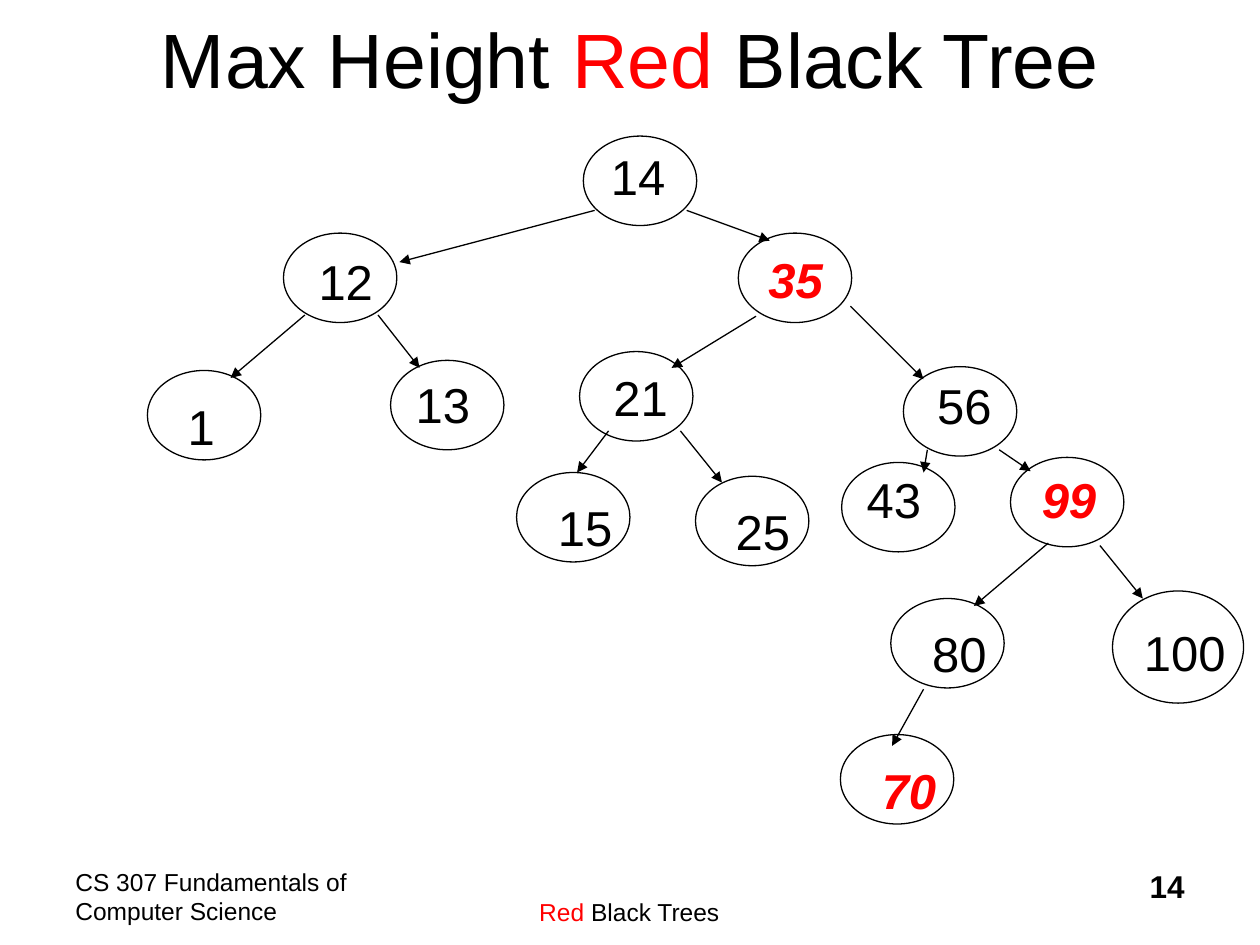
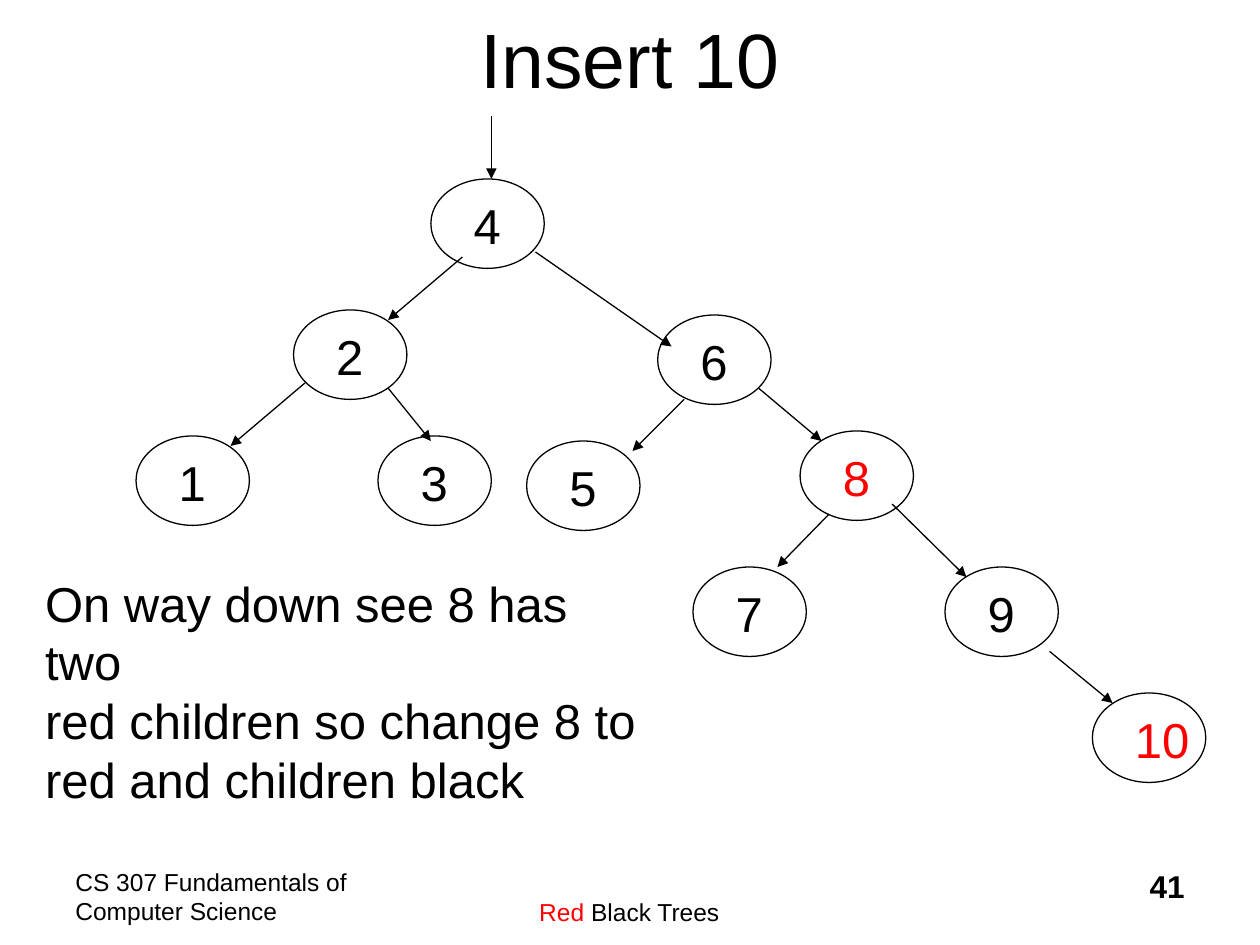
from lxml.etree import SubElement
from pptx import Presentation
from pptx.dml.color import RGBColor
from pptx.enum.shapes import MSO_CONNECTOR as Connector, MSO_SHAPE as Shape
from pptx.enum.text import MSO_ANCHOR as Anchor, MSO_AUTO_SIZE as AutoSize, PP_ALIGN as Align
from pptx.oxml.ns import qn
from pptx.util import Inches, Pt

BLACK = RGBColor(0x00, 0x00, 0x00)
RED = RGBColor(0xFF, 0x00, 0x00)
FONT = "Arial"
LINE_WIDTH = Pt(0.75)
NODE_SIZE = (0.9, 0.71)
LARGE_NODES = {"100": (1.04, 0.89)}

presentation = Presentation()
presentation.slide_width = Inches(10)
presentation.slide_height = Inches(7.5)
COLUMN = presentation.slide_width / 10
ROW = presentation.slide_height / 7.5


def grid(left, top, width, height):
    return [int(left * COLUMN), int(top * ROW), int(width * COLUMN), int(height * ROW)]


def write(slide, text, box, size=28, color=BLACK, align=Align.LEFT, anchor=Anchor.TOP,
          bold=False, italic=False, wrap=True, red_word=None):
    frame = slide.shapes.add_textbox(*grid(*box)).text_frame
    frame.word_wrap = wrap
    frame.auto_size = AutoSize.NONE if wrap else AutoSize.SHAPE_TO_FIT_TEXT
    frame.vertical_anchor = anchor
    paragraph = frame.paragraphs[0]
    paragraph.alignment = align
    for number, line in enumerate(text.split("\n")):
        if number:
            paragraph.add_line_break()
        before, word, after = line.partition(red_word) if red_word else (line, "", "")
        for part, part_color in ((before, color), (word, RED), (after, color)):
            if part:
                run = paragraph.add_run()
                run.text = part
                run.font.name = FONT
                run.font.size = Pt(size)
                run.font.bold = bold
                run.font.italic = italic
                run.font.color.rgb = part_color


max_height_nodes = [
    ("14", 4.63, 1.08, 0.12, 0.03),
    ("12", 2.25, 1.85, 0.18, 0.1),
    ("35", 5.86, 1.85, 0.14, 0.08),
    ("56", 7.17, 2.91, 0.17, 0.02),
    ("43", 6.68, 3.67, 0.1, 0.01),
    ("99", 8.02, 3.63, 0.15, 0.05),
    ("21", 4.6, 2.79, 0.17, 0.08),
    ("1", 1.17, 2.94, 0.22, 0.16),
    ("13", 3.1, 2.86, 0.1, 0.06),
    ("15", 4.1, 3.75, 0.23, 0.15),
    ("25", 5.52, 3.78, 0.22, 0.15),
    ("80", 7.07, 4.75, 0.23, 0.15),
    ("100", 8.83, 4.69, 0.15, 0.2),
    ("70", 6.67, 5.83, 0.23, 0.16),
]
max_height_arrows = [
    (4.72, 1.67, 3.17, 2.08),
    (5.45, 1.67, 6.11, 1.91),
    (6.75, 2.43, 7.33, 3.01),
    (7.36, 3.57, 7.33, 3.75),
    (7.93, 3.57, 8.18, 3.74),
    (6, 2.51, 5.33, 2.92),
    (2.42, 2.5, 1.83, 3),
    (3, 2.5, 3.33, 2.92),
    (4.83, 3.42, 4.58, 3.75),
    (5.4, 3.42, 5.73, 3.83),
    (8.32, 4.31, 7.73, 4.81),
    (8.73, 4.33, 9.07, 4.75),
    (7.33, 5.47, 7.08, 5.92),
]

insert_places = [
    ("4", 3.42, 1.42),
    ("2", 2.33, 2.46),
    ("3", 3, 3.46),
    ("6", 5.22, 2.5),
    ("5", 4.18, 3.5),
    ("8", 6.35, 3.42),
    ("1", 1.08, 3.46),
    ("7", 5.5, 4.5),
    ("9", 7.5, 4.5),
    ("10", 8.67, 5.5),
]
insert_nodes = [(*place, 0.24, 0.08) for place in insert_places]
insert_arrows = [
    (3.9, 0.92, 3.9, 1.42),
    (3.67, 2.04, 3.08, 2.54),
    (4.25, 2, 5.33, 2.75),
    (5.43, 3.17, 5.02, 3.58),
    (6.02, 3.08, 6.52, 3.5),
    (2.42, 3.04, 1.83, 3.54),
    (3.08, 3.08, 3.42, 3.5),
    (6.58, 4.08, 6.17, 4.5),
    (7.08, 4, 7.67, 4.58),
    (8.33, 5.17, 8.83, 5.58),
]

trees = [
    ("Max Height Red Black Tree", "14", max_height_nodes, max_height_arrows, {"35", "99", "70"}, True),
    ("Insert 10", "41", insert_nodes, insert_arrows, {"8", "10"}, False),
]

for title, page, nodes, arrows, red_nodes, emphasis in trees:
    slide = presentation.slides.add_slide(presentation.slide_layouts[6])
    write(slide, "CS 307 Fundamentals of Computer Science", (0.5, 6.83, 2.5, 0.5), size=14)
    write(slide, "Red Black Trees", (3.08, 7.07, 3.83, 0.33), size=14,
          align=Align.CENTER, red_word="Red")
    write(slide, page, (7.42, 6.83, 2.08, 0.5), size=18, align=Align.RIGHT, bold=True)
    write(slide, title, (0.75, 0, 8.5, 0.91), size=44, align=Align.CENTER,
          anchor=Anchor.MIDDLE, red_word="Red")

    for value, left, top, label_right, label_down in nodes:
        node = slide.shapes.add_shape(
            Shape.OVAL, *grid(left, top, *LARGE_NODES.get(value, NODE_SIZE)))
        node.shadow.inherit = False
        node.fill.background()
        node.line.color.rgb = BLACK
        node.line.width = LINE_WIDTH
        is_red = value in red_nodes
        label_box = (left + label_right, top + label_down, 0.19 + 0.22 * len(value), 0.57)
        write(slide, value, label_box, color=RED if is_red else BLACK,
              bold=is_red and emphasis, italic=is_red and emphasis, wrap=False)

    for ends in arrows:
        arrow = slide.shapes.add_connector(Connector.STRAIGHT, *grid(*ends))
        arrow.line.color.rgb = BLACK
        arrow.line.width = LINE_WIDTH
        SubElement(arrow.line._get_or_add_ln(), qn("a:tailEnd"), type="triangle")
        SubElement(arrow._element.spPr, qn("a:effectLst"))

write(slide, "On way down see 8 has two\nred children so change 8 to\nred and children black",
      (0.26, 4.5, 5.05, 1.5), wrap=False)

presentation.save("out.pptx")
